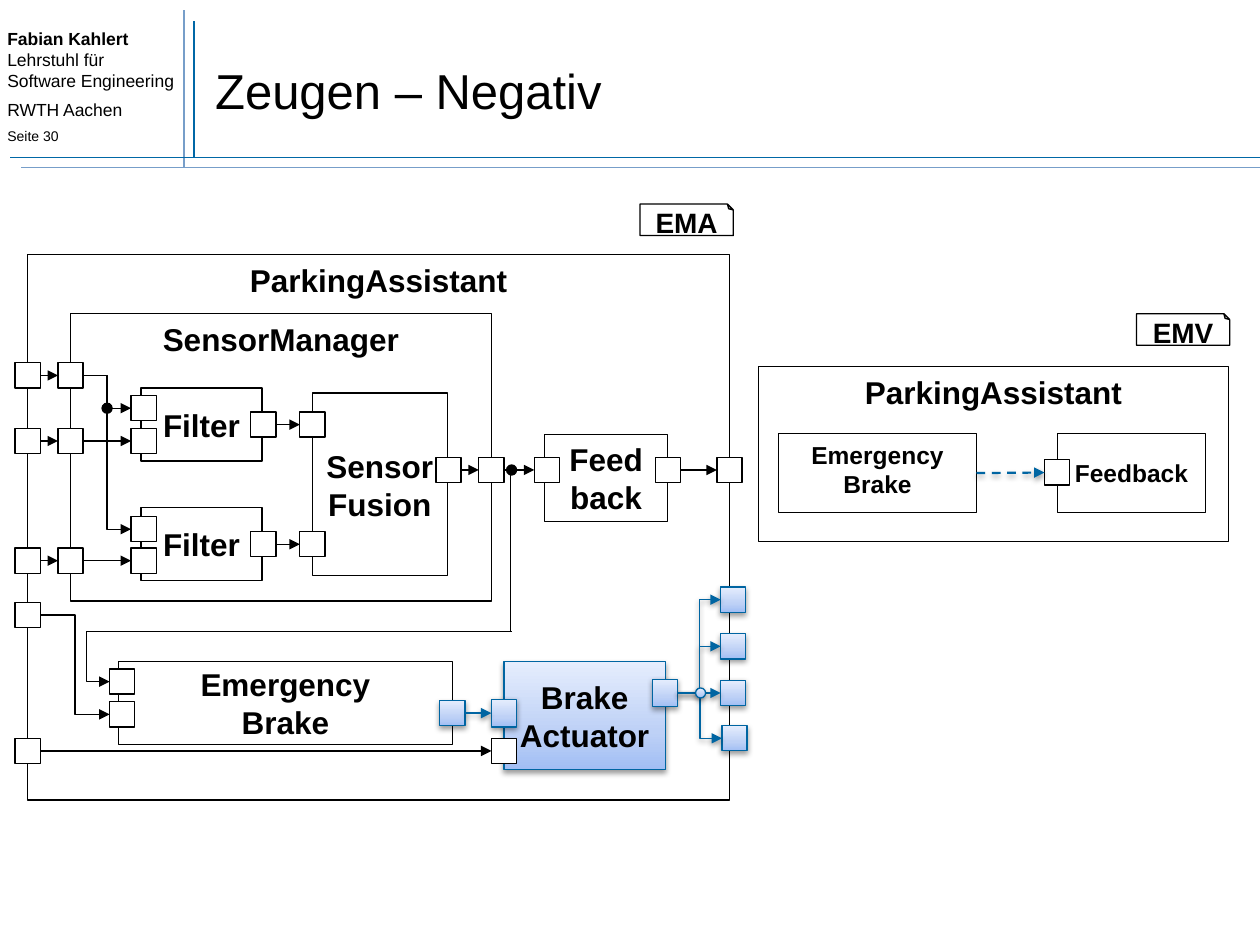
"""Build the slide "Zeugen – Negativ" with its component diagrams."""
from lxml import etree
from pptx import Presentation
from pptx.dml.color import RGBColor
from pptx.enum.dml import MSO_LINE
from pptx.enum.shapes import MSO_CONNECTOR, MSO_SHAPE
from pptx.enum.text import MSO_ANCHOR, PP_ALIGN
from pptx.oxml.ns import qn
from pptx.util import Inches, Pt

RECTANGLE, ELLIPSE, NOTE = MSO_SHAPE.RECTANGLE, MSO_SHAPE.OVAL, MSO_SHAPE.FOLDED_CORNER
STRAIGHT, ELBOW = MSO_CONNECTOR.STRAIGHT, MSO_CONNECTOR.ELBOW
TOP, MIDDLE, CENTER = MSO_ANCHOR.TOP, MSO_ANCHOR.MIDDLE, PP_ALIGN.CENTER
DASH = MSO_LINE.DASH
color = RGBColor.from_string
BLACK, WHITE, BLUE = "000000", "FFFFFF", "0065A2"
GRADIENT = [(0, "A1BEF4"), (35, "BED1F6"), (100, "E5EDFD")]
SIDE = 0.2

presentation = Presentation()
presentation.slide_width, presentation.slide_height = Inches(10), Inches(7.5)
slide = presentation.slides.add_slide(presentation.slide_layouts[6])


def finish(item, line_color, width, shadow):
    """Set the line and the shadow of a shape or connector."""
    item.line.color.rgb = color(line_color)
    item.line.width = Pt(width)
    properties = item._element.spPr
    effects = properties.find(qn("a:effectLst"))
    if effects is None:
        effects = etree.SubElement(properties, qn("a:effectLst"))
    if shadow:
        outer = etree.SubElement(effects, qn("a:outerShdw"), blurRad="40000", dist="20000",
                                 dir="5400000", rotWithShape="0")
        shade = etree.SubElement(outer, qn("a:srgbClr"), val=BLACK)
        etree.SubElement(shade, qn("a:alpha"), val="38000")


def add_box(kind, box, fill, text="", size=18, anchor=MIDDLE):
    """Add a shape, blue and shaded when the fill is BLUE."""
    shape = slide.shapes.add_shape(kind, *map(Inches, box))
    shape.shadow.inherit = False
    if fill == BLUE:
        shape.fill.gradient()
        shape.fill.gradient_angle = 90
        stops = shape._element.spPr.find(".//" + qn("a:gsLst"))
        stops.clear()
        for position, stop_color in GRADIENT:
            stop = etree.SubElement(stops, qn("a:gs"), pos=str(position * 1000))
            etree.SubElement(stop, qn("a:srgbClr"), val=stop_color)
    else:
        shape.fill.solid()
        shape.fill.fore_color.rgb = color(fill)
    finish(shape, BLUE if fill == BLUE else BLACK, 0.75, fill == BLUE)
    if text:
        shape.text_frame.text = text
        shape.text_frame.vertical_anchor = anchor
        for paragraph in shape.text_frame.paragraphs:
            paragraph.alignment = CENTER
            for run in paragraph.runs:
                run.font.name, run.font.size, run.font.bold = "Arial", Pt(size), True
                run.font.color.rgb = color(BLACK)
    return shape


author_box = slide.shapes.add_textbox(Inches(-0.04), Inches(0.17), Inches(1.54), Inches(1.06))
title_box = slide.shapes.add_textbox(Inches(1.61), Inches(0.25), Inches(8.27), Inches(0.92))
author_box.text_frame.text = ("Fabian Kahlert\vLehrstuhl für Software Engineering\n"
                              "RWTH Aachen\nSeite 30")
title_box.text_frame.text = "Zeugen – Negativ"
title_box.text_frame.vertical_anchor = MIDDLE
for text_box, sizes, gaps in [(author_box, (10, 10, 8), (0, 5, 4)), (title_box, (28,), (0,))]:
    text_box.text_frame.word_wrap = True
    for paragraph, size, gap in zip(text_box.text_frame.paragraphs, sizes, gaps):
        paragraph.space_before = Pt(gap)
        for line_break in paragraph._p.findall(qn("a:br")):
            etree.SubElement(line_break, qn("a:rPr"), sz=str(size * 100))
        for run in paragraph.runs:
            run.font.name, run.font.size = "Arial", Pt(size)
            run.font.color.rgb = color(BLACK)
author_box.text_frame.paragraphs[0].runs[0].font.bold = True

for start_x, start_y, end_x, end_y, line_color in [
    (1.54, 1.25, 1.54, 0.17, "0067A6"),
    (1.46, 1.33, 1.46, 0.08, "779EC9"),
    (0.08, 1.25, 10, 1.25, "0067A6"),
    (0.17, 1.33, 10, 1.33, "779EC9"),
]:
    rule = slide.shapes.add_connector(STRAIGHT, *map(Inches, (start_x, start_y, end_x, end_y)))
    finish(rule, line_color, 1, False)

for box, fill, text, size, anchor in [
    ((0.22, 2.02, 5.57, 4.33), WHITE, "ParkingAssistant", 18, TOP),
    ((0.56, 2.49, 3.34, 2.28), WHITE, "SensorManager", 18, TOP),
    ((1.12, 3.08, 0.96, 0.58), WHITE, "Filter", 18, MIDDLE),
    ((1.12, 4.03, 0.96, 0.58), WHITE, "Filter", 18, MIDDLE),
    ((2.48, 3.12, 1.07, 1.45), WHITE, "Sensor\vFusion", 18, MIDDLE),
    ((0.94, 5.25, 2.65, 0.66), WHITE, "Emergency\nBrake", 18, MIDDLE),
    ((4, 5.25, 1.28, 0.86), BLUE, "Brake\vActuator", 18, MIDDLE),
    ((4.32, 3.45, 0.98, 0.69), WHITE, "Feed\nback", 18, MIDDLE),
    ((6.02, 2.91, 3.73, 1.39), WHITE, "ParkingAssistant", 18, TOP),
    ((8.39, 3.44, 1.18, 0.63), WHITE, "Feedback", 14, MIDDLE),
]:
    add_box(RECTANGLE, box, fill, text, size, anchor)

adjusted = []
for left, top, text in [(5.08, 1.62, "EMA"), (9.02, 2.49, "EMV")]:
    note = add_box(NOTE, (left, top, 0.74, 0.25), WHITE, text, 16)
    note.text_frame.word_wrap = False
    note._element.spPr.xfrm.set("flipV", "1")
    note.text_frame._txBody.bodyPr.set("rot", "10800000")
    adjusted.append((note, "adj", 18500))

nodes = {"view brake": add_box(RECTANGLE, (6.18, 3.44, 1.57, 0.63), WHITE,
                               "Emergency\nBrake", 14, TOP)}
for name, left, middle, fill in [
    ("input 1", 0.12, 2.98, WHITE), ("input 2", 0.12, 3.5, WHITE),
    ("input 3", 0.12, 4.45, WHITE), ("input 4", 0.12, 4.88, WHITE),
    ("input 5", 0.12, 5.96, WHITE),
    ("manager 1", 0.46, 2.98, WHITE), ("manager 2", 0.46, 3.5, WHITE),
    ("manager 3", 0.46, 4.45, WHITE), ("manager out", 3.8, 3.73, WHITE),
    ("filter 1 a", 1.04, 3.24, WHITE), ("filter 1 b", 1.04, 3.5, WHITE),
    ("filter 1 out", 1.99, 3.37, WHITE),
    ("filter 2 a", 1.04, 4.2, WHITE), ("filter 2 b", 1.04, 4.45, WHITE),
    ("filter 2 out", 1.99, 4.32, WHITE),
    ("fusion 1", 2.38, 3.37, WHITE), ("fusion 2", 2.38, 4.32, WHITE),
    ("fusion out", 3.46, 3.73, WHITE),
    ("feedback in", 4.24, 3.73, WHITE), ("feedback out", 5.2, 3.73, WHITE),
    ("output", 5.69, 3.73, WHITE),
    ("emergency 1", 0.87, 5.41, WHITE), ("emergency 2", 0.87, 5.67, WHITE),
    ("emergency out", 3.49, 5.66, BLUE),
    ("actuator 1", 3.9, 5.66, BLUE), ("actuator 2", 3.9, 5.96, WHITE),
    ("actuator out", 5.18, 5.5, BLUE),
    ("brake 1", 5.72, 4.76, BLUE), ("brake 2", 5.72, 5.13, BLUE),
    ("brake 3", 5.72, 5.5, BLUE), ("brake 4", 5.73, 5.86, BLUE),
    ("view feedback", 8.29, 3.75, WHITE),
]:
    height = 0.22 if name in ("actuator 1", "actuator out") else SIDE
    nodes[name] = add_box(RECTANGLE, (left, middle - height / 2, SIDE, height), fill)

for kind, start, end, line_color in [
    (STRAIGHT, "input 1", "manager 1", BLACK), (STRAIGHT, "input 2", "manager 2", BLACK),
    (STRAIGHT, "input 3", "manager 3", BLACK), (STRAIGHT, "manager 2", "filter 1 b", BLACK),
    (STRAIGHT, "manager 3", "filter 2 b", BLACK), (ELBOW, "manager 1", "filter 1 a", BLACK),
    (ELBOW, "manager 1", "filter 2 a", BLACK), (STRAIGHT, "filter 1 out", "fusion 1", BLACK),
    (STRAIGHT, "filter 2 out", "fusion 2", BLACK),
    (STRAIGHT, "fusion out", "manager out", BLACK),
    (STRAIGHT, "manager out", "feedback in", BLACK), (STRAIGHT, "feedback out", "output", BLACK),
    (ELBOW, "input 4", "emergency 2", BLACK), (STRAIGHT, "input 5", "actuator 2", BLACK),
    (STRAIGHT, "emergency out", "actuator 1", BLUE), (ELBOW, "actuator out", "brake 1", BLUE),
    (ELBOW, "actuator out", "brake 2", BLUE), (STRAIGHT, "actuator out", "brake 3", BLUE),
    (ELBOW, "actuator out", "brake 4", BLUE), (STRAIGHT, "view brake", "view feedback", BLUE),
    (ELBOW, "branch", "emergency 1", BLACK),
]:
    target = nodes[end]
    if start == "branch":
        begin = (Inches(4.06), Inches(5.01))
    else:
        source = nodes[start]
        begin = (source.left + source.width, source.top + source.height // 2)
    connector = slide.shapes.add_connector(kind, *begin, target.left,
                                           target.top + target.height // 2)
    if kind == STRAIGHT:
        connector.begin_connect(source, 3)
        connector.end_connect(target, 1)
    finish(connector, line_color, 0.75, line_color == BLUE)
    if start == "view brake":
        connector.line.width = Pt(1.25)
        connector.line.dash_style = DASH
    if start == "branch":
        adjusted.append((connector, "adj1", 105700))
    etree.SubElement(connector.line._get_or_add_ln(), qn("a:tailEnd"), type="triangle")

for item, guide, value in adjusted:
    geometry = item._element.spPr.find(qn("a:prstGeom"))
    guides = geometry.find(qn("a:avLst"))
    if guides is None:
        guides = etree.SubElement(geometry, qn("a:avLst"))
    etree.SubElement(guides, qn("a:gd"), name=guide, fmla=f"val {value}")

branch = slide.shapes.add_connector(STRAIGHT, *map(Inches, (4.05, 3.73, 4.05, 5.01)))
finish(branch, BLACK, 0.75, False)
for left, top, fill in [(0.81, 3.2, BLACK), (4.02, 3.69, BLACK), (5.52, 5.46, BLUE)]:
    add_box(ELLIPSE, (left, top, 0.08, 0.08), fill)

presentation.save("out.pptx")
